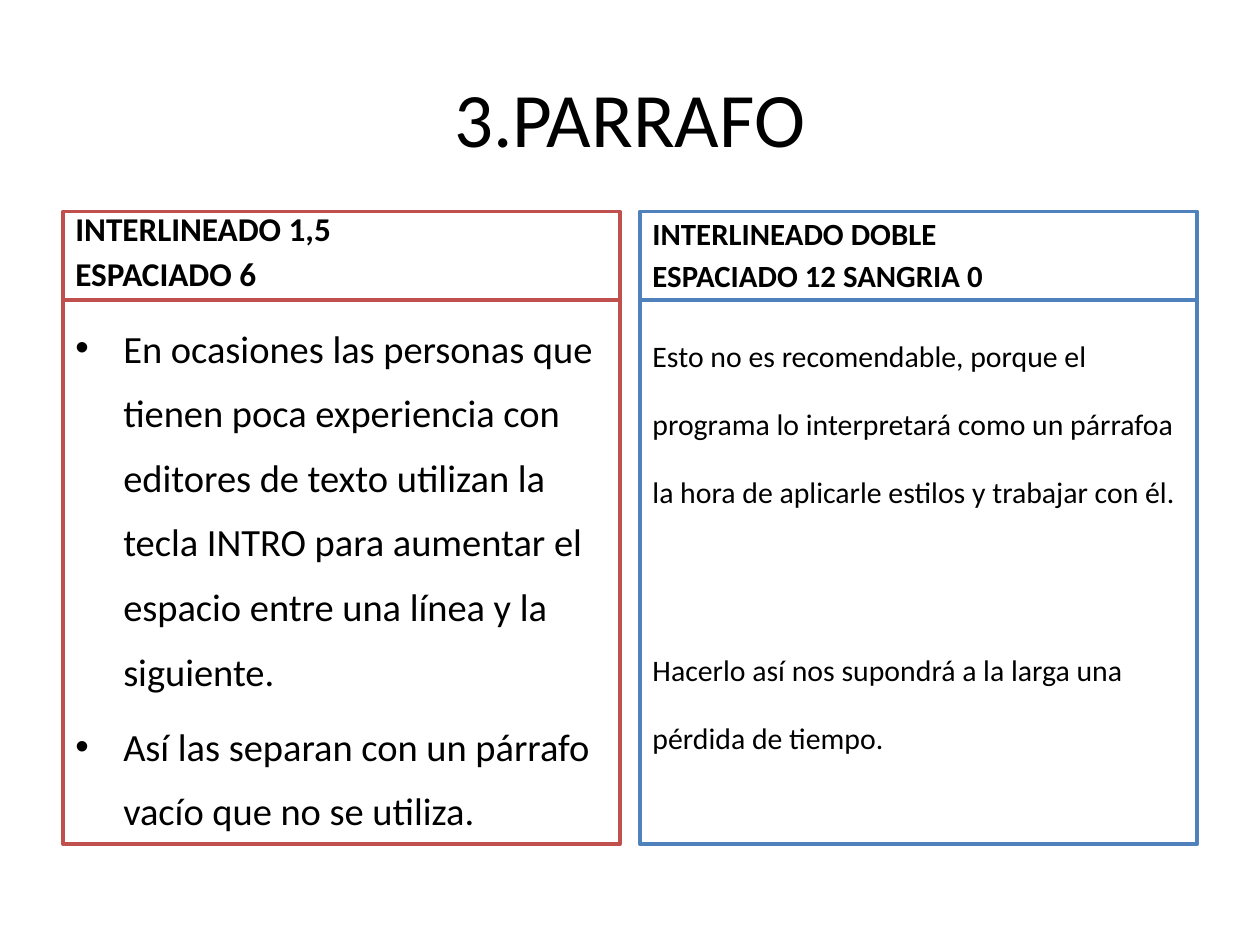
from lxml import etree
from pptx import Presentation
from pptx.dml.color import RGBColor
from pptx.enum.shapes import MSO_SHAPE
from pptx.enum.text import MSO_ANCHOR, PP_ALIGN
from pptx.oxml.ns import qn
from pptx.util import Inches, Pt

RECTANGLE = MSO_SHAPE.RECTANGLE
TOP, MIDDLE, BOTTOM = MSO_ANCHOR.TOP, MSO_ANCHOR.MIDDLE, MSO_ANCHOR.BOTTOM
LEFT, CENTER = PP_ALIGN.LEFT, PP_ALIGN.CENTER
COLORS = {"text": "000000", "paper": "FFFFFF", "red": "C0504D", "blue": "4F81BD"}
FONT = "Calibri"
MARGIN, COLUMN_WIDTH, COLUMN_STEP = 0.5, 4.42, 4.58
HEADER_TOP, HEADER_HEIGHT, BODY_HEIGHT = 1.68, 0.7, 4.32
BULLET_INDENT = 0.38

COLUMNS = [
    {
        "color": "red",
        "header": ["INTERLINEADO 1,5", "ESPACIADO 6"],
        "header_size": 19,
        "body": [
            "En ocasiones las personas que tienen poca experiencia con editores de texto "
            "utilizan la tecla INTRO para aumentar el espacio entre una línea y la siguiente.",
            "Así las separan con un párrafo vacío que no se utiliza.",
        ],
        "body_style": {"size": 22, "spacing": 1.4, "before": [6, 6], "bullet": True},
    },
    {
        "color": "blue",
        "header": ["INTERLINEADO DOBLE", "ESPACIADO 12 SANGRIA 0"],
        "header_size": 17.6,
        "body": [
            "Esto no es recomendable, porque el programa lo interpretará como un párrafoa "
            "la hora de aplicarle estilos y trabajar con él.",
            "Hacerlo así nos supondrá a la larga una pérdida de tiempo.",
        ],
        "body_style": {"size": 17, "spacing": 1.9, "before": [12, 63]},
    },
]


class SlideBuilder:
    """Adds consistently styled titles and framed text to one slide."""

    def __init__(self, slide):
        self.slide = slide

    def color(self, name):
        return RGBColor.from_string(COLORS[name])

    def title(self, text, left, top, width, height):
        box = self.slide.shapes.add_textbox(*map(Inches, (left, top, width, height)))
        self.fill_text(box, [text], 44, anchor=MIDDLE, align=CENTER)

    def panel(self, left, top, height, color, lines, **style):
        box = self.slide.shapes.add_shape(
            RECTANGLE, *map(Inches, (left, top, COLUMN_WIDTH, height))
        )
        box.shadow.inherit = False
        box.fill.solid()
        box.fill.fore_color.rgb = self.color("paper")
        box.line.color.rgb = self.color(color)
        box.line.width = Pt(2)
        self.fill_text(box, lines, **style)

    def fill_text(self, box, lines, size, anchor=TOP, align=LEFT, bold=False,
                  spacing=1.0, before=(0, 0), bullet=False):
        frame = box.text_frame
        frame.text = "\n".join(lines)
        frame.word_wrap = True
        frame.vertical_anchor = anchor
        for para, gap in zip(frame.paragraphs, before):
            para.alignment = align
            para.line_spacing = spacing
            para.space_before = Pt(gap)
            if bullet:
                self.bullet(para)
            for span in para.runs:
                span.font.name = FONT
                span.font.size = Pt(size)
                span.font.bold = bold
                span.font.color.rgb = self.color("text")

    def bullet(self, para):
        properties = para._p.get_or_add_pPr()
        properties.set("marL", str(Inches(BULLET_INDENT)))
        properties.set("indent", str(-Inches(BULLET_INDENT)))
        etree.SubElement(properties, qn("a:buFont"), typeface="Arial")
        etree.SubElement(properties, qn("a:buChar"), char="•")


def main():
    deck = Presentation()
    deck.slide_width, deck.slide_height = Inches(10), Inches(7.5)
    page = SlideBuilder(deck.slides.add_slide(deck.slide_layouts[6]))
    page.title("3.PARRAFO", MARGIN, 0.3, 9, 1.25)
    for index, column in enumerate(COLUMNS):
        left = MARGIN + index * COLUMN_STEP
        page.panel(left, HEADER_TOP, HEADER_HEIGHT, column["color"], column["header"],
                   size=column["header_size"], anchor=BOTTOM, bold=True, before=(3, 3))
        page.panel(left, HEADER_TOP + HEADER_HEIGHT, BODY_HEIGHT, column["color"],
                   column["body"], **column["body_style"])
    deck.save("out.pptx")


if __name__ == "__main__":
    main()
